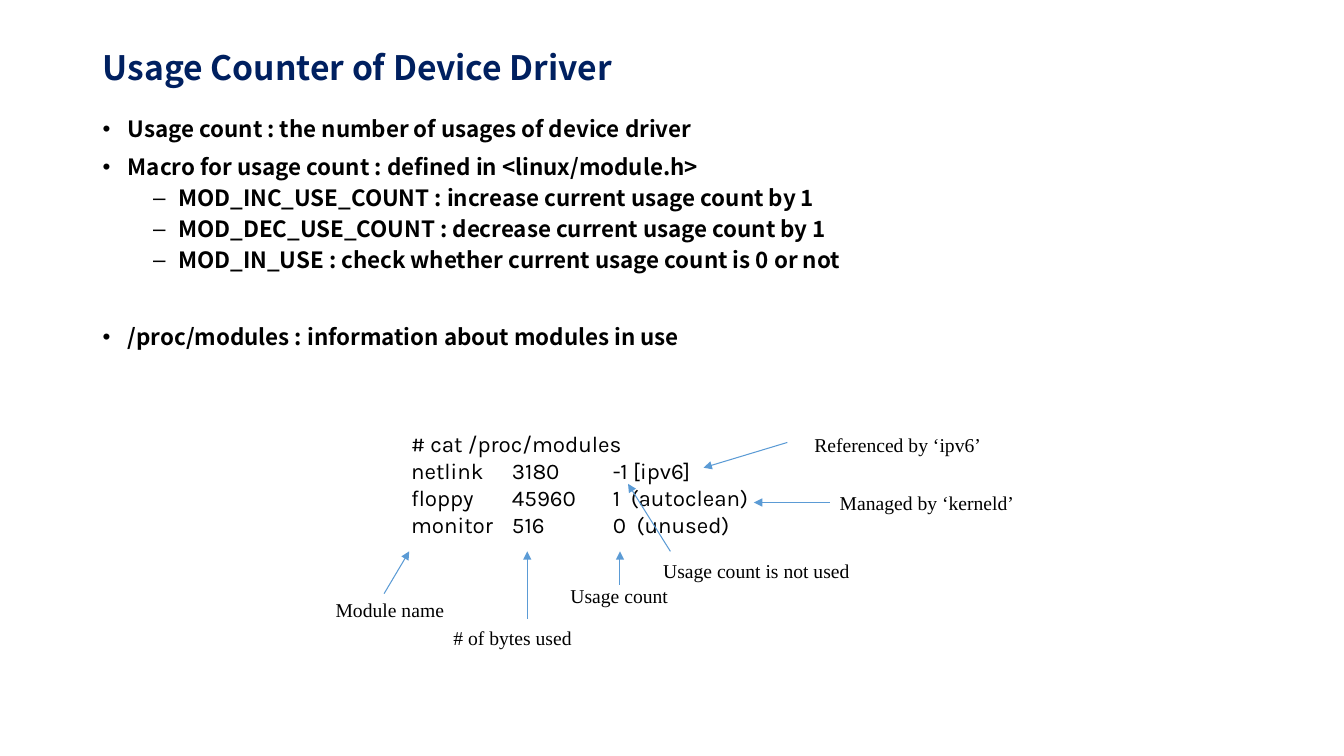
"""Slide on the usage counter of a device driver, with an annotated module listing."""
from lxml import etree
from pptx import Presentation
from pptx.dml.color import RGBColor
from pptx.enum.shapes import MSO_CONNECTOR as CONN
from pptx.enum.text import MSO_ANCHOR as ANCHOR, MSO_AUTO_SIZE as AUTO
from pptx.oxml.ns import qn
from pptx.util import Inches, Pt

NAVY = RGBColor(0x00, 0x20, 0x60)
BLACK = RGBColor(0x00, 0x00, 0x00)
BLUE = RGBColor(0x5B, 0x9B, 0xD5)
SANS, CODE, SERIF = "Noto Sans CJK KR", "Karla", "Times New Roman"

prs = Presentation()
prs.slide_width, prs.slide_height = Inches(13.33), Inches(7.5)
W, H = prs.slide_width / 100, prs.slide_height / 100
s = prs.slides.add_slide(prs.slide_layouts[6])


def add_box(x, y, w, h, grow=False):
    """Add a text box placed in percent of the slide."""
    sp = s.shapes.add_textbox(round(x * W), round(y * H), round(w * W), round(h * H))
    sp.text_frame.word_wrap = not grow
    sp.text_frame.auto_size = AUTO.SHAPE_TO_FIT_TEXT if grow else AUTO.NONE
    return sp


def add_line(tf, i, text, font, size, color=BLACK, bold=False):
    """Write the paragraph with index i as one run."""
    p = tf.add_paragraph() if i else tf.paragraphs[0]
    r = p.add_run()
    r.text = text
    r.font.name, r.font.size, r.font.bold = font, Pt(size), bold
    r.font.color.rgb = color
    return p


LEFT, WIDTH = 6.9, 86.25
title = add_box(LEFT, 6.1, WIDTH, 6.27).text_frame
title.vertical_anchor = ANCHOR.MIDDLE
add_line(title, 0, "Usage Counter of Device Driver", SANS, 24, NAVY, True).line_spacing = 0.9

bullets = [
    (0, 0, "Usage count : the number of usages of device driver"),
    (0, 10, "Macro for usage count : defined in <linux/module.h>"),
    (1, 5, "MOD_INC_USE_COUNT : increase current usage count by 1"),
    (1, 5, "MOD_DEC_USE_COUNT : decrease current usage count by 1"),
    (1, 5, "MOD_IN_USE : check whether current usage count is 0 or not"),
    (0, 37.5, "/proc/modules : information about modules in use"),
]
body = add_box(LEFT, 14.93, WIDTH, 75.2).text_frame
for i, (level, before, text) in enumerate(bullets):
    p = add_line(body, i, text, SANS, 16, bold=True)
    p.level, p.line_spacing, p.space_before = level, 0.9, Pt(before)
    pPr = p._p.get_or_add_pPr()
    pPr.set("marL", str(Inches(0.25 + 0.5 * level)))
    pPr.set("indent", str(Inches(-0.25)))
    etree.SubElement(pPr, qn("a:buFont")).set("typeface", "Arial")
    etree.SubElement(pPr, qn("a:buChar")).set("char", "•–"[level])

listing = [
    "# cat /proc/modules",
    "netlink \t3180\t-1 [ipv6]",
    "floppy\t45960\t1  (autoclean)",
    "monitor\t516\t0  (unused)",
]
code = add_box(29.85, 56.27, 26.85, 15.6, grow=True).text_frame
for i, text in enumerate(listing):
    p = add_line(code, i, text, CODE, 16)
    tabs = etree.SubElement(p._p.get_or_add_pPr(), qn("a:tabLst"))
    for column in (1, 2):
        tab = etree.SubElement(tabs, qn("a:tab"))
        tab.set("pos", str(Inches(column)))
        tab.set("algn", "l")

FOOT = 72.93
notes = [
    ("Module name", (24.23, 78.45, 9.6), (28.58, 78.53), (30.45, FOOT)),
    ("# of bytes used", (33, 82.13, 10.35), (39.23, 81.87), (39.23, FOOT)),
    ("Usage count", (41.7, 76.6, 8.78), (46.13, 77.33), (46.13, FOOT)),
    ("Usage count is not used", (48.6, 73.33, 15.38), (49.88, FOOT), (46.73, 64)),
    ("Managed by ‘kerneld’", (61.73, 64.27, 14.6), (61.73, 66.47), (56.1, 66.47)),
    ("Referenced by ‘ipv6’", (59.85, 56.67, 14.2), (58.58, 58.53), (52.35, 61.87)),
]
for text, place, (x1, y1), (x2, y2) in notes:
    label = add_box(*place, 4.4, grow=True)
    add_line(label.text_frame, 0, text, SERIF, 14)
    arrow = s.shapes.add_connector(
        CONN.STRAIGHT, round(x1 * W), round(y1 * H), round(x2 * W), round(y2 * H))
    if (x1, y1) == (place[0], place[1] + 2.2):
        arrow.begin_connect(label, 1)
    arrow.line.color.rgb, arrow.line.width = BLUE, Pt(0.75)
    etree.SubElement(arrow.line._get_or_add_ln(), qn("a:tailEnd")).set("type", "triangle")
    etree.SubElement(arrow._element.spPr, qn("a:effectLst"))

prs.save("out.pptx")
